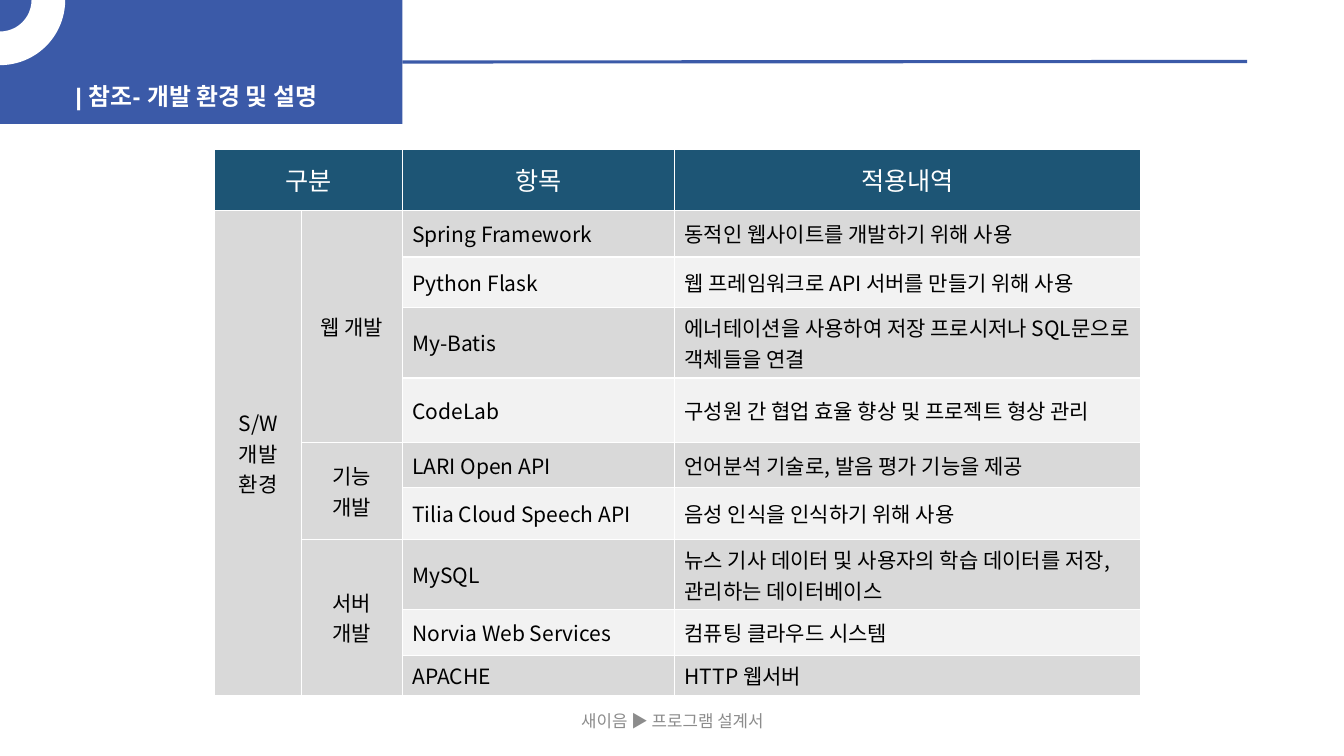
from lxml import etree
from pptx import Presentation
from pptx import util as u
from pptx.dml.color import RGBColor
from pptx.enum import shapes, text
from pptx.oxml.ns import qn

COLORS = {"blue": "3B5AA8", "header": "1D5575", "dark": "D9D9D9", "light": "F2F2F2",
          "white": "FFFFFF", "black": "000000", "gray": "8C8C8C"}
KOREAN_FONT = "Noto Sans CJK KR"
TITLE = "| 참조- 개발 환경 및 설명"
FOOTER = "새이음 ▶ 프로그램 설계서"
HEADERS = ["구분", "", "항목", "적용내역"]
ENVIRONMENT = "S/W\n개발\n환경"
GROUPS = [
    ("웹 개발", [
        ("Spring Framework", "동적인 웹사이트를 개발하기 위해 사용"),
        ("Python Flask", "웹 프레임워크로 API 서버를 만들기 위해 사용"),
        ("My-Batis", "에너테이션을 사용하여 저장 프로시저나 SQL문으로 객체들을 연결"),
        ("CodeLab", "구성원 간 협업 효율 향상 및 프로젝트 형상 관리"),
    ]),
    ("기능 개발", [
        ("LARI Open API", "언어분석 기술로, 발음 평가 기능을 제공"),
        ("Tilia Cloud Speech API", "음성 인식을 인식하기 위해 사용"),
    ]),
    ("서버 개발", [
        ("MySQL", "뉴스 기사 데이터 및 사용자의 학습 데이터를 저장, 관리하는 데이터베이스"),
        ("Norvia Web Services", "컴퓨팅 클라우드 시스템"),
        ("APACHE", "HTTP 웹서버"),
    ]),
]
COLUMN_WIDTHS = [0.86, 1, 2.7, 4.62]
ROW_HEIGHTS = [0.61, 0.46, 0.5, 0.7, 0.64, 0.45, 0.51, 0.7, 0.45, 0.4]
TABLE_LEFT, TABLE_TOP = 2.13, 1.48
BANNER_WIDTH, BANNER_HEIGHT = 3.99, 1.23
RING_RADIUS = 0.64


def color(name):
    return RGBColor.from_string(COLORS[name])


def inches(*values):
    return [u.Inches(value) for value in values]


def write(frame, content, size, ink, bold=False, align=text.PP_ALIGN.LEFT, font=KOREAN_FONT):
    frame.text = content
    for paragraph in frame.paragraphs:
        paragraph.alignment = align
        for run in paragraph.runs:
            for name, value in {"size": u.Pt(size), "bold": bold, "name": font}.items():
                setattr(run.font, name, value)
            run.font.color.rgb = color(ink)
            east_asian = etree.Element(qn("a:ea"), typeface=KOREAN_FONT)
            run.font._element.find(qn("a:latin")).addnext(east_asian)


def add_text(slide, box, anchor, *args, **kwargs):
    frame = slide.shapes.add_textbox(*inches(*box)).text_frame
    frame.word_wrap = True
    frame.vertical_anchor = anchor
    write(frame, *args, **kwargs)


def add_filled(slide, kind, box, fill):
    shape = slide.shapes.add_shape(kind, *inches(*box))
    shape.shadow.inherit = False
    shape.fill.solid()
    shape.fill.fore_color.rgb = color(fill)
    shape.line.fill.background()
    return shape


def style_cell(cell, fill):
    cell.vertical_anchor = text.MSO_ANCHOR.MIDDLE
    cell.fill.solid()
    cell.fill.fore_color.rgb = color(fill)
    properties = cell._tc.get_or_add_tcPr()
    for index, side in enumerate("LRTB"):
        border = etree.Element(qn(f"a:ln{side}"), w=str(u.Pt(1)))
        solid = etree.SubElement(border, qn("a:solidFill"))
        etree.SubElement(solid, qn("a:srgbClr"), val=COLORS["white"])
        properties.insert(index, border)


def add_environment_table(slide):
    box = inches(TABLE_LEFT, TABLE_TOP, sum(COLUMN_WIDTHS), sum(ROW_HEIGHTS))
    table = slide.shapes.add_table(len(ROW_HEIGHTS), len(COLUMN_WIDTHS), *box).table
    table.first_row = table.horz_banding = False
    for column, width in zip(table.columns, COLUMN_WIDTHS):
        column.width = u.Inches(width)
    for row, height in zip(table.rows, ROW_HEIGHTS):
        row.height = u.Inches(height)

    center = text.PP_ALIGN.CENTER
    for column, header in enumerate(HEADERS):
        style_cell(table.cell(0, column), "header")
        write(table.cell(0, column).text_frame, header, 18, "white", align=center)
    table.cell(0, 0).merge(table.cell(0, 1))

    row = 1
    for group, items in GROUPS:
        first = row
        for item in items:
            for column in range(len(COLUMN_WIDTHS)):
                banded = column > 1 and row % 2 == 0
                style_cell(table.cell(row, column), "light" if banded else "dark")
            for column, content in enumerate(item, start=2):
                write(table.cell(row, column).text_frame, content, 15, "black")
            row += 1
        write(table.cell(first, 1).text_frame, group, 15, "black", align=center)
        table.cell(first, 1).merge(table.cell(row - 1, 1))
    write(table.cell(1, 0).text_frame, ENVIRONMENT, 15, "black", align=center)
    table.cell(1, 0).merge(table.cell(row - 1, 0))


def add_banner(slide):
    banner = add_filled(slide, shapes.MSO_SHAPE.RECTANGLE,
                        (0, 0, BANNER_WIDTH, BANNER_HEIGHT), "blue")
    rule = slide.shapes.add_connector(shapes.MSO_CONNECTOR.STRAIGHT,
                                      *inches(BANNER_WIDTH, 0.62, 12.37, 0.61))
    rule.begin_connect(banner, 3)
    rule.line.color.rgb = color("blue")
    rule.line.width = u.Pt(2.25)
    etree.SubElement(rule._element.spPr, qn("a:effectLst"))

    ring = add_filled(slide, shapes.MSO_SHAPE.BLOCK_ARC,
                      (-RING_RADIUS, -RING_RADIUS, 2 * RING_RADIUS, 2 * RING_RADIUS), "white")
    for index, value in enumerate((0, 54.9, 0.25)):
        ring.adjustments[index] = value
    ring.line.color.rgb = color("white")
    ring.line.width = u.Pt(1)
    add_text(slide, (0.65, 0.76, 3.07, 0.32), text.MSO_ANCHOR.TOP,
             TITLE, 17, "white", bold=True, font="Arial")


def main():
    presentation = Presentation()
    presentation.slide_width, presentation.slide_height = inches(13.33, 7.5)
    slide = presentation.slides.add_slide(presentation.slide_layouts[6])
    add_text(slide, (4.42, 6.95, 4.5, 0.4), text.MSO_ANCHOR.MIDDLE,
             FOOTER, 12, "gray", align=text.PP_ALIGN.CENTER)
    add_environment_table(slide)
    add_banner(slide)
    presentation.save("out.pptx")


if __name__ == "__main__":
    main()
